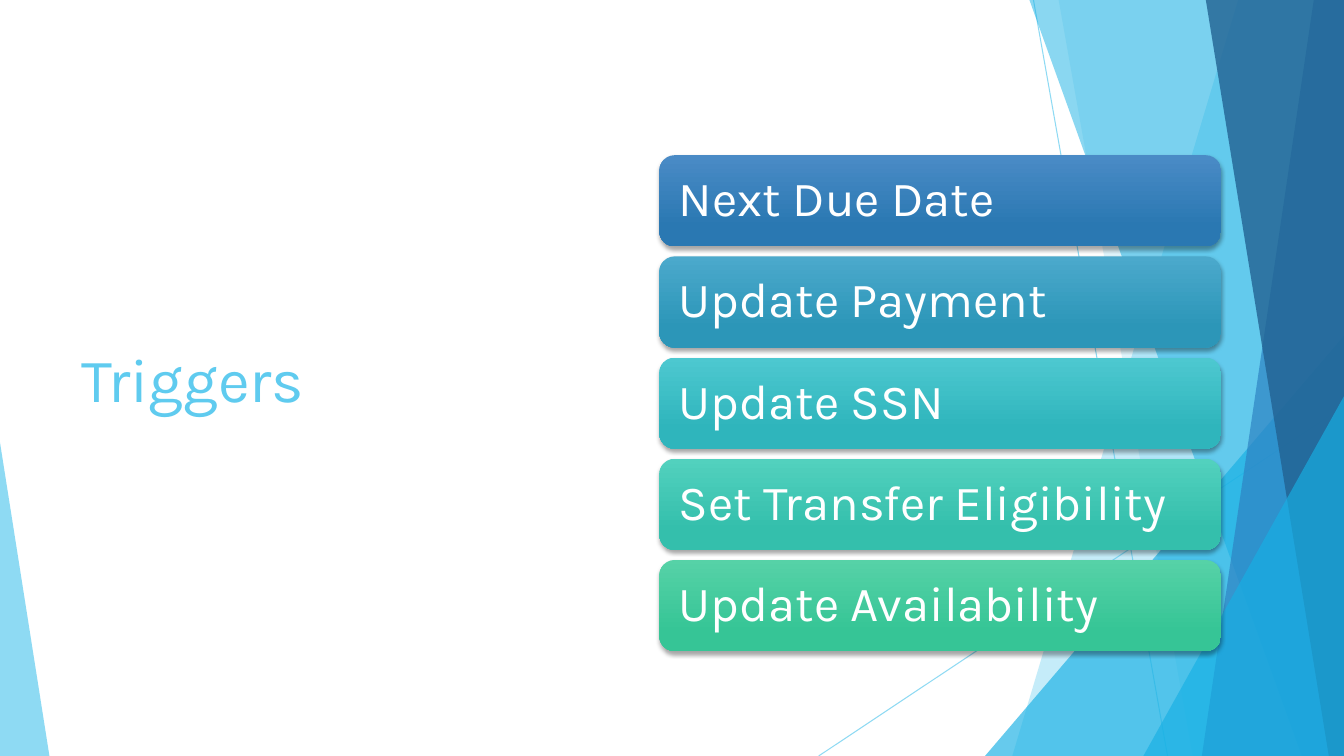
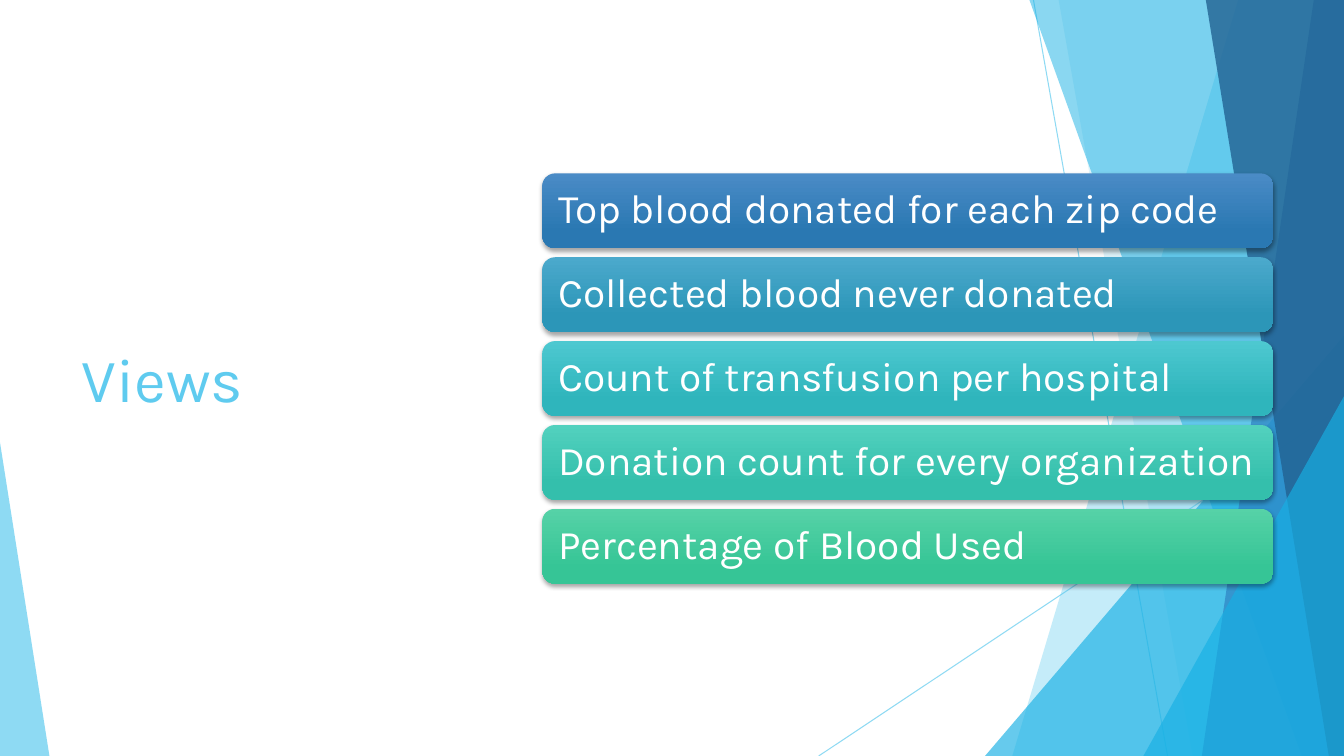
from pptx import Presentation
from pptx.dml.color import RGBColor
from pptx.enum.shapes import MSO_CONNECTOR, MSO_SHAPE
from pptx.enum.text import MSO_ANCHOR as Anchor, PP_ALIGN as Align
from pptx.oxml import parse_xml
from pptx.oxml.ns import nsdecls, qn
from pptx.util import Inches, Pt

# Shared look
SLIDE_WIDTH, SLIDE_HEIGHT = 13.33, 7.5
FONT = "Karla"
WHITE = RGBColor(0xFF, 0xFF, 0xFF)
SKY = RGBColor(0x5F, 0xCB, 0xEF)
CYAN = RGBColor(0x17, 0xB0, 0xE4)
BLUE = RGBColor(0x2E, 0x83, 0xC3)
NAVY = RGBColor(0x22, 0x62, 0x92)
BAR_GRADIENTS = [
    (RGBColor(0x4A, 0x8B, 0xC6), RGBColor(0x2A, 0x78, 0xB2)),
    (RGBColor(0x4B, 0xA9, 0xCC), RGBColor(0x2C, 0x96, 0xB8)),
    (RGBColor(0x4D, 0xC8, 0xD0), RGBColor(0x2F, 0xB5, 0xBC)),
    (RGBColor(0x52, 0xD1, 0xBE), RGBColor(0x34, 0xBF, 0xAC)),
    (RGBColor(0x56, 0xD2, 0xA7), RGBColor(0x36, 0xC5, 0x96)),
]
TITLE_BOX = (0.71, 1.51, 3.88, 4.48)
TITLE_FORMAT = {"name": FONT, "size": Pt(44)}

# Background facets, from back to front
RAYS = [(10.25, 0, 11.58, 7.5), (13.33, 4.03, 8.12, 7.5)]
# Panels reach the right edge: x at the top, x at the bottom, colour, opacity
# Triangles stand on the bottom edge: left, top, width, peak, colour, opacity
FACETS = [
    ("panel", 12.28, 10.04, SKY, 36),
    ("panel", 10.5, 11.83, SKY, 20),
    ("triangle", 9.77, 3.33, 3.56, 1, CYAN, 66),
    ("panel", 10.21, 12.91, CYAN, 50),
    ("panel", 13.03, 11.92, BLUE, 70),
    ("panel", 11.96, 13.18, NAVY, 80),
    ("triangle", 11.34, 3.93, 1.99, 1, CYAN, 66),
    ("triangle", 0, 4.39, 0.49, 0, SKY, 70),
]

SLIDES = [
    {
        "title": "Triggers",
        "box": (6.54, 1.54, 5.57, 4.92),
        "style": {"gap": 0.1, "inset": 0.15, "size": 35},
        "labels": ["Next Due Date", "Update Payment", "Update SSN",
                   "Set Transfer Eligibility", "Update Availability"],
    },
    {
        "title": "Views",
        "box": (5.38, 1.72, 7.25, 4.07),
        "style": {"gap": 0.09, "inset": 0.12, "size": 29},
        "labels": ["Top blood donated for each zip code",
                   "Collected blood never donated",
                   "Count of transfusion per hospital",
                   "Donation count for every organization",
                   "Percentage of Blood Used"],
    },
]


def apply(target, values):
    for name, value in values.items():
        setattr(target, name, value)


def set_opacity(shape, percent):
    """Make the explicit colour of a shape or line translucent."""
    colour = shape.element.find(".//" + qn("a:srgbClr"))
    colour.append(parse_xml(
        f'<a:alpha {nsdecls("a")} val="{percent * 1000}"/>'))


def add_panel(shapes, top_x, bottom_x):
    builder = shapes.build_freeform(Inches(top_x), 0)
    corners = [(SLIDE_WIDTH, 0), (SLIDE_WIDTH, SLIDE_HEIGHT),
               (bottom_x, SLIDE_HEIGHT)]
    builder.add_line_segments([(Inches(x), Inches(y)) for x, y in corners])
    return builder.convert_to_shape()


def add_triangle(shapes, left, top, width, peak):
    shape = shapes.add_shape(
        MSO_SHAPE.ISOSCELES_TRIANGLE, Inches(left), Inches(top),
        Inches(width), Inches(SLIDE_HEIGHT - top))
    shape.adjustments[0] = peak
    return shape


def add_rays(shapes):
    for ray in RAYS:
        line = shapes.add_connector(MSO_CONNECTOR.STRAIGHT, *map(Inches, ray))
        line.line.color.rgb = SKY
        line.line.width = Pt(0.75)
        set_opacity(line, 70)
        line.element.spPr.append(
            parse_xml(f'<a:effectLst {nsdecls("a")}/>'))


def add_facets(shapes):
    makers = {"panel": add_panel, "triangle": add_triangle}
    for kind, *geometry, colour, opacity in FACETS:
        shape = makers[kind](shapes, *geometry)
        shape.shadow.inherit = False
        shape.fill.solid()
        shape.fill.fore_color.rgb = colour
        shape.line.fill.background()
        set_opacity(shape, opacity)


def decorate_layout(layout, page):
    """Draw the background on a page, then move it to the shared layout."""
    group = page.shapes.add_group_shape()
    add_rays(group.shapes)
    add_facets(group.shapes)
    layout.shapes.element.insert(2, group.element)
    for number, item in enumerate(layout.element.iter(qn("p:cNvPr")), 1):
        item.set("id", str(number))


def add_title(page, text, box):
    title = page.shapes.title
    names = ("left", "top", "width", "height")
    apply(title, dict(zip(names, map(Inches, box))))
    frame = title.text_frame
    frame.vertical_anchor = Anchor.MIDDLE
    para = frame.paragraphs[0]
    para.alignment = Align.LEFT
    span = para.add_run()
    span.text = text
    apply(span.font, TITLE_FORMAT)
    span.font.color.rgb = SKY


def style_bar(bar, colours):
    bar.line.fill.background()
    bar.fill.gradient()
    bar.fill.gradient_angle = 270
    for stop, position, colour in zip(
            bar.fill.gradient_stops, (0, 0.78), colours):
        stop.position = position
        stop.color.rgb = colour
    # Soft shadow below the bar
    bar.shadow.inherit = False
    bar.element.find(".//" + qn("a:effectLst")).append(parse_xml(
        f'<a:outerShdw {nsdecls("a")} blurRad="{Pt(3)}" dist="{Pt(2)}" '
        'dir="5400000" rotWithShape="0"><a:srgbClr val="000000">'
        '<a:alpha val="35000"/></a:srgbClr></a:outerShdw>'))


def label_bar(bar, text, inset, size):
    frame = bar.text_frame
    apply(frame, {
        "word_wrap": True, "vertical_anchor": Anchor.MIDDLE,
        "margin_left": Inches(inset), "margin_right": Inches(0.05),
        "margin_top": 0, "margin_bottom": 0,
    })
    para = frame.paragraphs[0]
    apply(para, {"alignment": Align.LEFT, "line_spacing": 0.9})
    span = para.add_run()
    span.text = text
    apply(span.font, {"name": FONT, "size": Pt(size)})
    span.font.color.rgb = WHITE


def add_bars(page, labels, box, gap, inset, size):
    """Stack equal bars so that they fill the box."""
    left, top, width, height = box
    bar_height = (height - gap * (len(labels) - 1)) / len(labels)
    for index, (label, colours) in enumerate(zip(labels, BAR_GRADIENTS)):
        bar_top = top + index * (bar_height + gap)
        bar = page.shapes.add_shape(
            MSO_SHAPE.ROUNDED_RECTANGLE, Inches(left), Inches(bar_top),
            Inches(width), Inches(bar_height))
        style_bar(bar, colours)
        label_bar(bar, label, inset, size)


def main():
    deck = Presentation()
    deck.slide_width = Inches(SLIDE_WIDTH)
    deck.slide_height = Inches(SLIDE_HEIGHT)
    layout = deck.slide_layouts.get_by_name("Title Only")
    pages = [deck.slides.add_slide(layout) for _ in SLIDES]
    decorate_layout(layout, pages[0])
    for page, content in zip(pages, SLIDES):
        add_title(page, content["title"], TITLE_BOX)
        add_bars(page, content["labels"], content["box"], **content["style"])
    deck.save("out.pptx")


if __name__ == "__main__":
    main()
